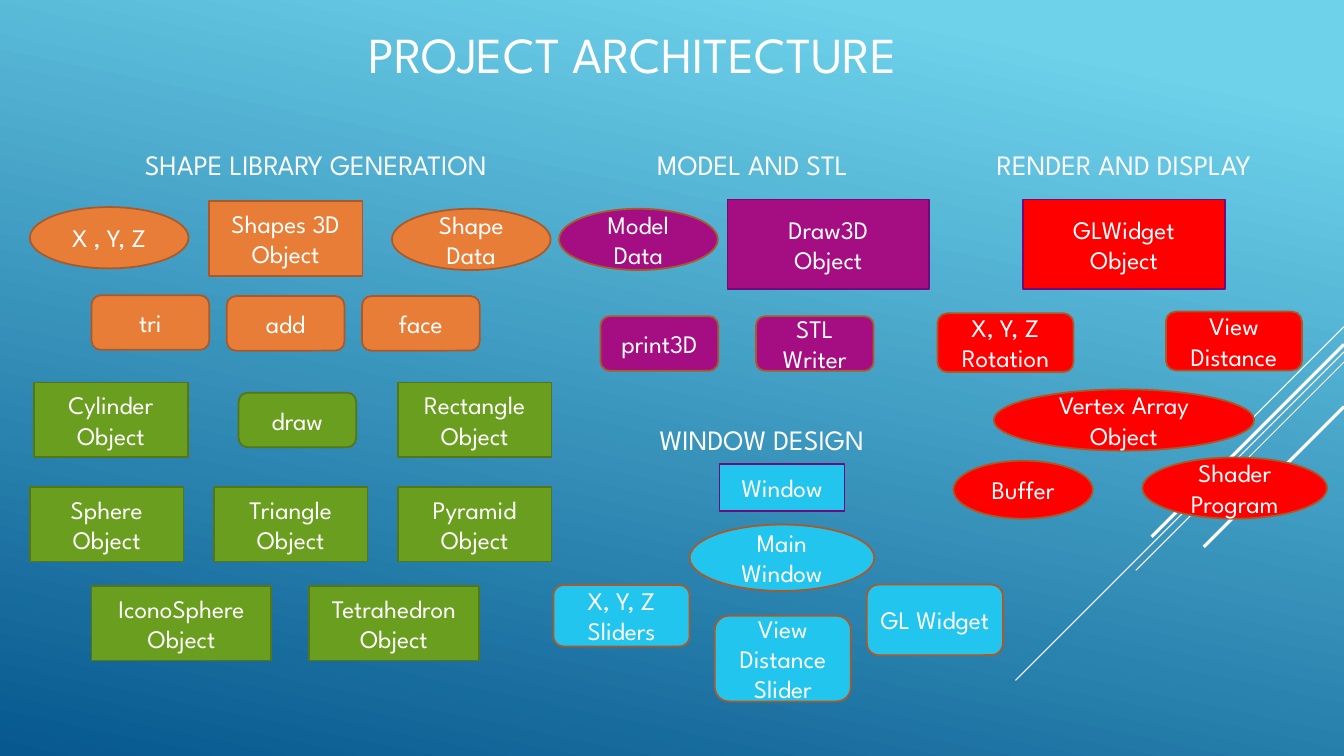
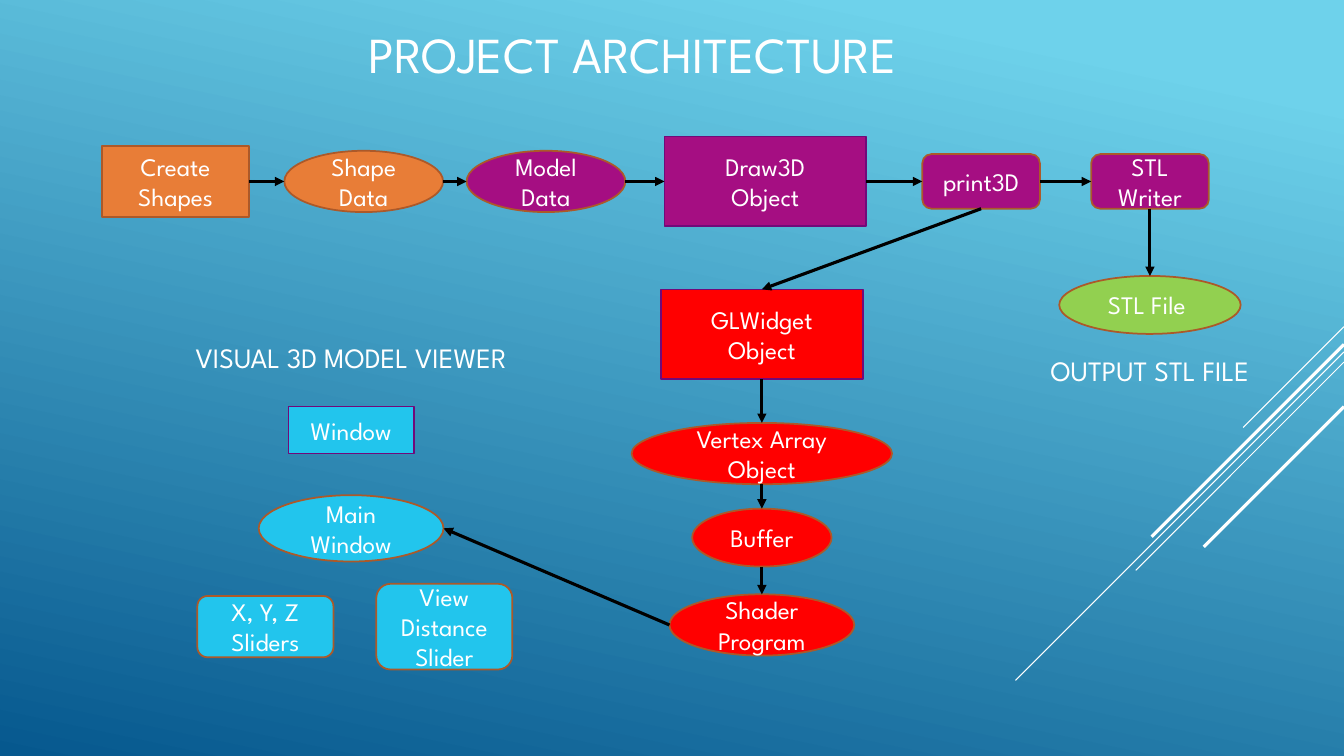
from lxml import etree
from pptx import Presentation
from pptx import util as u
from pptx.dml.color import RGBColor
from pptx.enum import shapes, text
from pptx.oxml.ns import qn

# Palette and font
FONT = "League Spartan"
WHITE, BLACK, RUST, PLUM = "FFFFFF", "000000", "AC5929", "710A7A"
ORANGE, GREEN, MOSS = "E87D37", "6A9E1F", "567517"
PURPLE, RED, BLUE, LIME = "A50E82", "FF0000", "22C5ED", "92D050"

# The slide is a grid of 160 columns by 90 rows
deck = Presentation()
deck.slide_width, deck.slide_height = u.Inches(13.33), u.Inches(7.5)
col, row = deck.slide_width / 160, deck.slide_height / 90
RECT, ROUND, OVAL = (shapes.MSO_SHAPE.RECTANGLE,
                     shapes.MSO_SHAPE.ROUNDED_RECTANGLE,
                     shapes.MSO_SHAPE.OVAL)
TOP, LEFT, DOWN, RIGHT = range(4)

# Kind: outline, columns, rows, edge colour, text size
kinds = {
    "title": (None, 112, 19.8, None, 36),
    "head": (None, 51.4, 8.3, None, 20),
    "object": (RECT, 18.3, 8.9, RUST, 18),
    "icono": (RECT, 21.4, 8.9, RUST, 18),
    "tetra": (RECT, 20.3, 8.9, RUST, 18),
    "start": (RECT, 17.5, 8.4, RUST, 18),
    "main": (RECT, 24, 10.7, PLUM, 18),
    "window": (RECT, 14.9, 5.6, PLUM, 18),
    "method": (ROUND, 14, 6.5, RUST, 18),
    "control": (ROUND, 16.2, 7, RUST, 18),
    "slider": (ROUND, 16.2, 7.3, RUST, 18),
    "widget": (ROUND, 16.2, 8.4, RUST, 18),
    "tall": (ROUND, 16.2, 10.2, RUST, 18),
    "data": (OVAL, 18.9, 7.3, RUST, 18),
    "buffer": (OVAL, 16.6, 6.9, RUST, 18),
    "file": (OVAL, 21.6, 6.9, RUST, 18),
    "shader": (OVAL, 22, 7.3, RUST, 18),
    "view": (OVAL, 22, 7.9, RUST, 18),
    "vertex": (OVAL, 31, 7.3, RUST, 18),
}

# Label: kind, fill (labels not listed are headings)
parts = {
    "PROJECT ARCHITECTURE": ("title", None),
    "Shapes 3D Object": ("object", ORANGE),
    "Create Shapes": ("start", ORANGE),
    "X , Y, Z": ("data", ORANGE),
    "Shape Data": ("data", ORANGE),
    "tri": ("method", ORANGE),
    "add": ("method", ORANGE),
    "face": ("method", ORANGE),
    "draw": ("method", GREEN),
    "Cylinder Object": ("object", GREEN),
    "Rectangle Object": ("object", GREEN),
    "Sphere Object": ("object", GREEN),
    "Triangle Object": ("object", GREEN),
    "Pyramid Object": ("object", GREEN),
    "IconoSphere Object": ("icono", GREEN),
    "Tetrahedron Object": ("tetra", GREEN),
    "Model Data": ("data", PURPLE),
    "Draw3D\nObject": ("main", PURPLE),
    "print3D": ("method", PURPLE),
    "STL Writer": ("method", PURPLE),
    "STL File ": ("file", LIME),
    "GLWidget\nObject": ("main", RED),
    "X, Y, Z\nRotation": ("control", RED),
    "View Distance": ("control", RED),
    "Vertex Array Object": ("vertex", RED),
    "Buffer": ("buffer", RED),
    "Shader Program": ("shader", RED),
    "Window": ("window", BLUE),
    "Main Window": ("view", BLUE),
    "X, Y, Z\nSliders": ("slider", BLUE),
    "View Distance\nSlider": ("tall", BLUE),
    "GL Widget": ("widget", BLUE),
}

# Centres on the grid, one table a slide
shared = {"PROJECT ARCHITECTURE": (75.3, 6.4)}
library = {
    "SHAPE LIBRARY GENERATION": (37.6, 19.6),
    "X , Y, Z": (13, 28.3),
    "Shapes 3D Object": (34, 28.4),
    "Shape Data": (56.1, 28.5),
    "tri": (17.9, 38.4),
    "add": (34, 38.5),
    "face": (50.1, 38.5),
    "Cylinder Object": (13.2, 50),
    "draw": (35.4, 50),
    "Rectangle Object": (56.5, 50),
    "Sphere Object": (12.7, 62.4),
    "Triangle Object": (34.6, 62.4),
    "Pyramid Object": (56.5, 62.4),
    "IconoSphere Object": (21.6, 74.2),
    "Tetrahedron Object": (46.9, 74.2),
    "MODEL AND STL ": (90, 19.5),
    "Model Data": (76, 28.5),
    "Draw3D\nObject": (98.6, 29.1),
    "print3D": (78.5, 40.9),
    "STL Writer": (97, 40.9),
    "RENDER AND DISPLAY": (133.8, 19.6),
    "GLWidget\nObject": (133.8, 29.1),
    "X, Y, Z\nRotation": (119.7, 40.8),
    "View Distance": (146.9, 40.6),
    "Vertex Array Object": (133.8, 50),
    "Buffer": (121.8, 58.3),
    "Shader Program": (147, 58.1),
    "WINDOW DESIGN ": (91.1, 52.3),
    "Window": (93.1, 58),
    "X, Y, Z\nSliders": (74, 73.3),
    "View Distance\nSlider": (93.2, 78.4),
    "Main Window": (93.1, 66.4),
    "GL Widget": (111.3, 73.8),
}
flow_y, gl_x, file_x, view_x, knob_y = 21.6, 90.7, 136.9, 41.8, 74.6
flow = {
    "Create Shapes": (20.9, flow_y),
    "Shape Data": (43.3, flow_y),
    "Model Data": (65, flow_y),
    "Draw3D\nObject": (91.1, flow_y),
    "print3D": (116.8, flow_y),
    "STL Writer": (file_x, flow_y),
    "STL File ": (file_x, 36.3),
    "OUTPUT STL FILE": (file_x, 44.1),
    "GLWidget\nObject": (gl_x, 39.8),
    "Vertex Array Object": (gl_x, 54),
    "Buffer": (gl_x, 64),
    "Shader Program": (gl_x, 74.4),
    "VISUAL 3D MODEL VIEWER": (view_x, 42.5),
    "Window": (view_x, 51.2),
    "Main Window": (view_x, 62.9),
    "X, Y, Z\nSliders": (31.6, knob_y),
    "View Distance\nSlider": (52.9, knob_y),
}

# Arrows: the top chain runs right, the middle chain runs down
chain = list(flow)[:6]
stack = list(flow)[8:12]
arrows = [(a, RIGHT, b, LEFT) for a, b in zip(chain, chain[1:])]
arrows += [(a, DOWN, b, TOP) for a, b in zip(stack, stack[1:])]
arrows += [("STL Writer", DOWN, "STL File ", TOP),
           ("print3D", DOWN, "GLWidget\nObject", TOP),
           ("Shader Program", LEFT, "Main Window", RIGHT)]

# Diagonals from the right edge: start row, length, weight
rays = [(38.9, 12, 0.75), (41.9, 39.1, 0.75), (43.1, 24.8, 0.75),
        (41, 22.9, 2.25), (48.4, 16.7, 2.25)]


def paint(fill, tone):
    fill.solid()
    fill.fore_color.rgb = RGBColor.from_string(tone)


def stroke(page, start, end, tone, weight):
    line = page.shapes.add_connector(
        shapes.MSO_CONNECTOR.STRAIGHT, *(int(n) for n in (*start, *end)))
    paint(line.line.fill, tone)
    line.line.width = u.Pt(weight)
    etree.SubElement(line._element.spPr, qn("a:effectLst"))
    return line


# Background, set once on the master
back = deck.slide_master.background.fill
back.gradient()
back.gradient_angle = 258
for stop, tone, share in zip(back.gradient_stops, ("6ED2EB", "06588E"), (0.1, 1)):
    stop.color.rgb = RGBColor.from_string(tone)
    stop.position = share

for spots, links in ((library, []), (flow, arrows)):
    page = deck.slides.add_slide(deck.slide_layouts[6])
    for y, size, weight in rays:
        stroke(page, (160 * col, y * row),
               ((160 - size) * col, (y + size) * row), WHITE, weight)

    # Title, headings and boxes
    made = {}
    for label, (x, y) in (shared | spots).items():
        kind, tone = parts.get(label, ("head", None))
        form, wide, high, edge, size = kinds[kind]
        area = [int(n) for n in ((x - wide / 2) * col, (y - high / 2) * row,
                                 wide * col, high * row)]
        if form is None:
            box = page.shapes.add_textbox(*area)
        else:
            box = page.shapes.add_shape(form, *area)
            box.shadow.inherit = False
            paint(box.fill, tone)
            paint(box.line.fill, MOSS if tone == GREEN else edge)
            box.line.width = u.Pt(1.25)
        made[label] = box
        frame = box.text_frame
        frame.text = label
        frame.word_wrap = True
        frame.vertical_anchor = text.MSO_ANCHOR.MIDDLE
        for para in frame.paragraphs:
            para.alignment = text.PP_ALIGN.CENTER
            for run in para.runs:
                run.font.name, run.font.size = FONT, u.Pt(size)
                paint(run.font.fill, WHITE)

    # Arrows between the boxes
    for a, out, b, into in links:
        ends = []
        for label, side in ((a, out), (b, into)):
            box = made[label]
            dx, dy = ((0.5, 0), (0, 0.5), (0.5, 1), (1, 0.5))[side]
            ends.append((box.left + dx * box.width, box.top + dy * box.height))
        line = stroke(page, *ends, BLACK, 2.25)
        etree.SubElement(line.line._get_or_add_ln(), qn("a:tailEnd"), type="triangle")
        # Ovals number their sides differently, except the top
        if made[a].auto_shape_type != OVAL or out == TOP:
            line.begin_connect(made[a], out)
        if made[b].auto_shape_type != OVAL or into == TOP:
            line.end_connect(made[b], into)

deck.save("out.pptx")
